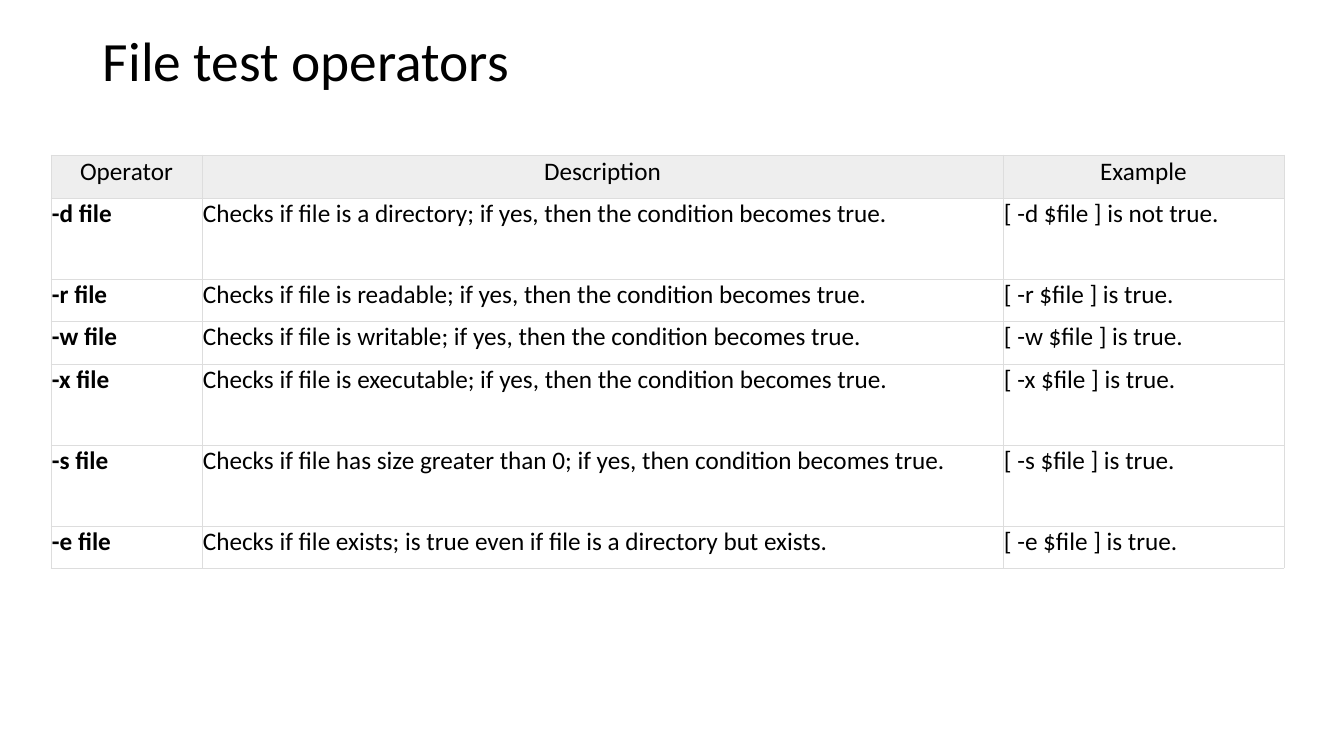
"""Build the slide on file test operators."""
from collections import namedtuple
from lxml.etree import SubElement
from pptx import Presentation
from pptx.dml.color import RGBColor as RGB
from pptx.enum.text import MSO_ANCHOR as Anchor, PP_ALIGN as Align
from pptx.oxml.ns import qn
from pptx.util import Pt

Theme = namedtuple("Theme", "font ink paper header rule title_size cell_size rule_width")
theme = Theme("Calibri", "000000", "FFFFFF", "EEEEEE", "DDDDDD", 39.6, 18, 0.6)
SCALE = 914400 / 100.8


def px(length):
    return round(length * SCALE)


def write(frame, words, size, bold=False, align=Align.LEFT, spacing=1.0):
    paragraph = frame.paragraphs[0]
    paragraph.alignment, paragraph.line_spacing = align, spacing
    run = paragraph.add_run()
    run.text = words
    run.font.color.rgb = RGB.from_string(theme.ink)
    for key, value in {"name": theme.font, "size": Pt(size), "bold": bold}.items():
        setattr(run.font, key, value)


deck = Presentation()
deck.slide_width, deck.slide_height = px(1344), px(756)
slide = deck.slides.add_slide(deck.slide_layouts[6])

heading = slide.shapes.add_textbox(px(93), px(40), px(1159), px(47)).text_frame
for key, value in {"word_wrap": True, "vertical_anchor": Anchor.MIDDLE}.items():
    setattr(heading, key, value)
write(heading, "File test operators", theme.title_size, spacing=0.9)

BECOMES = "if yes, then the condition becomes true."
operators = [
    ("d", f"Checks if file is a directory; {BECOMES}", "is not true."),
    ("r", f"Checks if file is readable; {BECOMES}", "is true."),
    ("w", f"Checks if file is writable; {BECOMES}", "is true."),
    ("x", f"Checks if file is executable; {BECOMES}", "is true."),
    ("s", "Checks if file has size greater than 0; if yes, then condition becomes true.", "is true."),
    ("e", "Checks if file exists; is true even if file is a directory but exists.", "is true."),
]
rows = [("Operator", "Description", "Example")]
rows += [(f"-{flag} file", meaning, f"[ -{flag} $file ] {result}")
         for flag, meaning, result in operators]
widths = [151, 801, 281]
heights = [43, 81, 42, 43, 81, 81, 42]

operator_table = slide.shapes.add_table(
    len(rows), len(widths), px(51), px(155), px(sum(widths)), px(sum(heights))).table
for key, value in {"first_row": False, "horz_banding": False}.items():
    setattr(operator_table, key, value)
for column, width in zip(operator_table.columns, widths):
    column.width = px(width)
for row, height in zip(operator_table.rows, heights):
    row.height = px(height)

cell_format = {"margin_left": px(1), "margin_right": px(1), "margin_top": px(1),
               "margin_bottom": px(1), "vertical_anchor": Anchor.TOP}
for r, entries in enumerate(rows):
    for c, words in enumerate(entries):
        cell = operator_table.cell(r, c)
        for key, value in cell_format.items():
            setattr(cell, key, value)
        write(cell.text_frame, words, theme.cell_size, bold=r > 0 and c == 0,
              align=Align.LEFT if r else Align.CENTER)
        properties = cell._tc.get_or_add_tcPr()
        for side in ("a:lnL", "a:lnR", "a:lnT", "a:lnB"):
            border = SubElement(properties, qn(side), w=str(Pt(theme.rule_width)))
            SubElement(SubElement(border, qn("a:solidFill")), qn("a:srgbClr"), val=theme.rule)
        cell.fill.solid()
        cell.fill.fore_color.rgb = RGB.from_string(theme.paper if r else theme.header)

deck.save("out.pptx")
